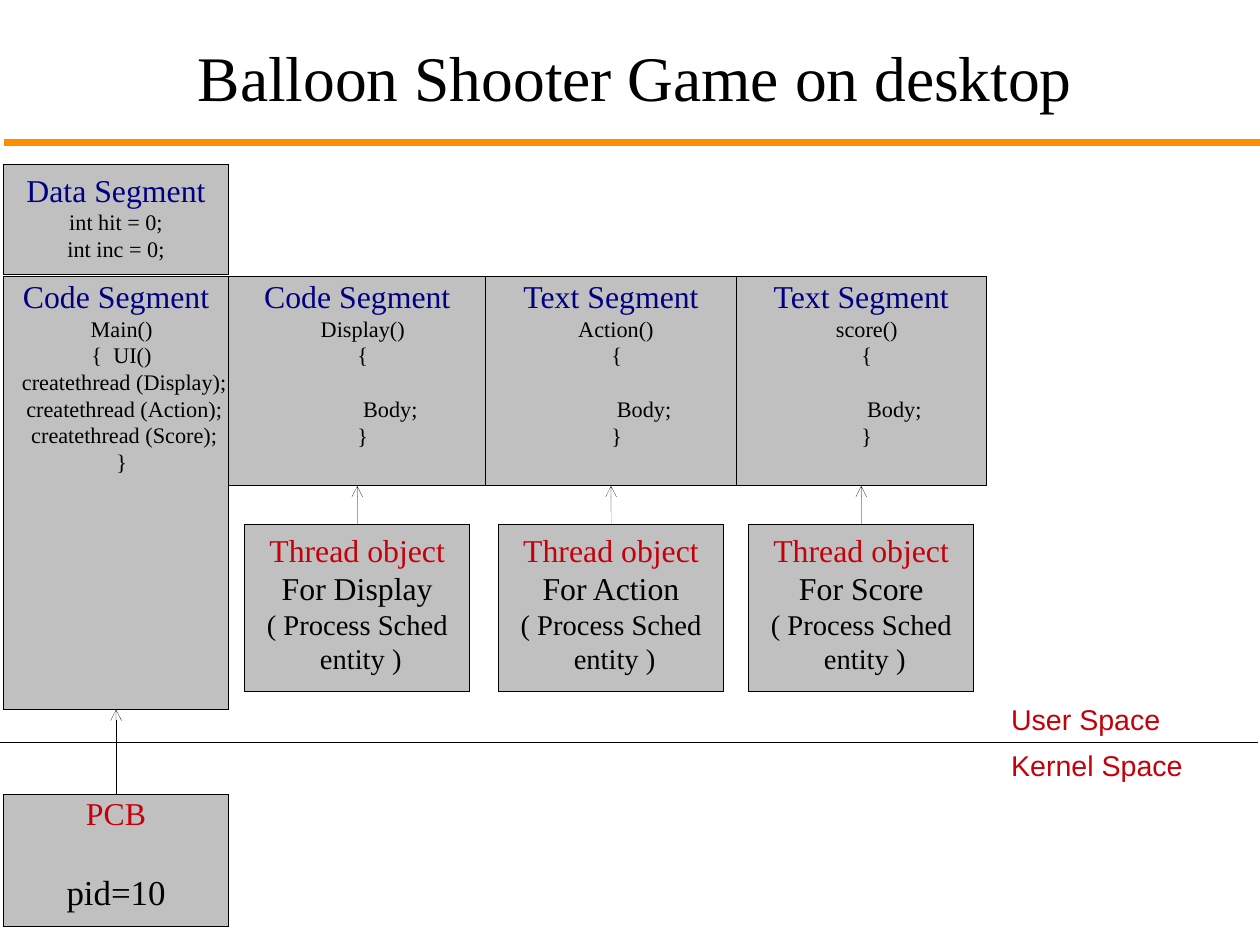
import lxml.etree
import pptx
import pptx.dml.color
import pptx.enum.shapes
import pptx.enum.text
import pptx.oxml.ns
import pptx.util
from pptx.util import Cm

COLOURS = {"black": "000000", "grey": "C0C0C0", "navy": "000080",
           "red": "C5000B", "orange": "FF8D00"}
SERIF, SANS = "Times New Roman", "Arial"
ALIGN = pptx.enum.text.PP_ALIGN
ANCHOR = pptx.enum.text.MSO_ANCHOR

SLIDE_WIDTH, SLIDE_HEIGHT = 28, 21
LEFT, COLUMN_WIDTH = 0.08, 5
CODE_TOP, CODE_HEIGHT = 6.15, 4.65
THREAD_TOP, THREAD_HEIGHT = 11.66, 3.71
BORDER_TOP = 16.5
BODY_INDENT = 1.47
PADDING = (0.25, 0.13)
HAIRLINE = 0.01

# heading, function, thread name, left, width
THREADS = [
    ("Code Segment", "Display()", "Display", 5.08, 5.72),
    ("Text Segment", "Action()", "Action", 10.8, 5.56),
    ("Text Segment", "score()", "Score", 16.36, 5.56),
]


def rgb(name):
    return pptx.dml.color.RGBColor.from_string(COLOURS[name])


def line(text, size, colour="black", before=0, indent=0):
    """Describe one paragraph; before is in points, indent in centimetres."""
    return text, size, colour, before, indent


def write_lines(shape, lines, font=SERIF, align=ALIGN.CENTER,
                anchor=ANCHOR.TOP, padding=(0, 0)):
    frame = shape.text_frame
    frame.word_wrap = True
    frame.vertical_anchor = anchor
    frame.margin_left = frame.margin_right = Cm(padding[0])
    frame.margin_top = frame.margin_bottom = Cm(padding[1])
    frame.text = "\n".join(text for text, *_ in lines)
    for para, (_, size, colour, before, indent) in zip(frame.paragraphs, lines):
        para.alignment = align
        if before:
            para.space_before = pptx.util.Pt(before)
        if indent:
            para._p.get_or_add_pPr().set("marL", str(Cm(indent)))
        for span in para.runs:
            span.font.name = font
            span.font.size = pptx.util.Pt(size)
            span.font.color.rgb = rgb(colour)


def add_label(page, left, top, width, height, lines, **style):
    label = page.shapes.add_textbox(Cm(left), Cm(top), Cm(width), Cm(height))
    write_lines(label, lines, **style)


def add_box(page, left, top, width, height, lines, **style):
    box = page.shapes.add_shape(pptx.enum.shapes.MSO_SHAPE.RECTANGLE,
                                Cm(left), Cm(top), Cm(width), Cm(height))
    box.shadow.inherit = False
    box.fill.solid()
    box.fill.fore_color.rgb = rgb("grey")
    box.line.color.rgb = rgb("black")
    box.line.width = pptx.util.Pt(HAIRLINE)
    write_lines(box, lines, **style)
    return box


def add_rule(page, left, top, right, colour="black", weight=HAIRLINE):
    rule = page.shapes.add_connector(pptx.enum.shapes.MSO_CONNECTOR.STRAIGHT,
                                     Cm(left), Cm(top), Cm(right), Cm(top))
    rule.line.color.rgb = rgb(colour)
    rule.line.width = pptx.util.Pt(weight)
    lxml.etree.SubElement(rule._element.spPr, pptx.oxml.ns.qn("a:effectLst"))
    return rule


def add_arrow_up(page, lower, upper):
    """Point from the top of the lower box to the bottom of the upper one."""
    arrow = add_rule(page, 0, 0, 0)
    arrow.begin_connect(lower, 0)
    arrow.end_connect(upper, 2)
    lxml.etree.SubElement(arrow.line._get_or_add_ln(),
                          pptx.oxml.ns.qn("a:tailEnd"), type="arrow")


def add_process(page):
    add_box(page, LEFT, 3.66, COLUMN_WIDTH, 2.44, [
        line("Data Segment", 20, "navy"),
        line("int hit = 0;", 14),
        line("int inc = 0;", 14),
    ], padding=PADDING)
    code = ["  Main()", "  {  UI()", "   createthread (Display);",
            "   createthread (Action);", "   createthread (Score);", "  }"]
    main_code = add_box(page, LEFT, CODE_TOP, COLUMN_WIDTH, 9.62,
                        [line("Code Segment", 20, "navy")]
                        + [line(text, 14) for text in code])
    control_block = add_box(page, LEFT, 17.65, COLUMN_WIDTH, 2.95, [
        line("PCB", 20, "red"),
        line("pid=10", 22, before=24),
    ])
    add_arrow_up(page, control_block, main_code)


def add_thread(page, heading, function, name, left, width):
    segment = add_box(page, left, CODE_TOP, width, CODE_HEIGHT, [
        line(heading, 20, "navy"),
        line("  " + function, 14),
        line("  {", 14),
        line("Body;", 14, before=17, indent=BODY_INDENT),
        line("  }", 14),
    ])
    thread_left = left + (width - COLUMN_WIDTH) / 2
    thread = add_box(page, thread_left, THREAD_TOP, COLUMN_WIDTH, THREAD_HEIGHT, [
        line("Thread object", 20, "red"),
        line("For " + name, 20),
        line("( Process Sched", 18),
        line(" entity )", 18),
    ], padding=PADDING)
    add_arrow_up(page, thread, segment)


def main():
    deck = pptx.Presentation()
    deck.slide_width, deck.slide_height = Cm(SLIDE_WIDTH), Cm(SLIDE_HEIGHT)
    page = deck.slides.add_slide(deck.slide_layouts[6])

    add_label(page, 1.5, 0.64, 25.22, 2.1,
              [line("Balloon Shooter Game on desktop", 40)],
              anchor=ANCHOR.MIDDLE)
    add_rule(page, LEFT, 3.17, SLIDE_WIDTH, "orange", 4.31)
    add_process(page)
    add_rule(page, 0, BORDER_TOP, 27.95)
    for text, top in (("User Space", BORDER_TOP - 1.02),
                      ("Kernel Space", BORDER_TOP)):
        add_label(page, 22.22, top, 4.45, 1.02, [line(text, 18, "red")],
                  font=SANS, align=ALIGN.LEFT, padding=PADDING)
    for thread in THREADS:
        add_thread(page, *thread)

    deck.save("out.pptx")


if __name__ == "__main__":
    main()
